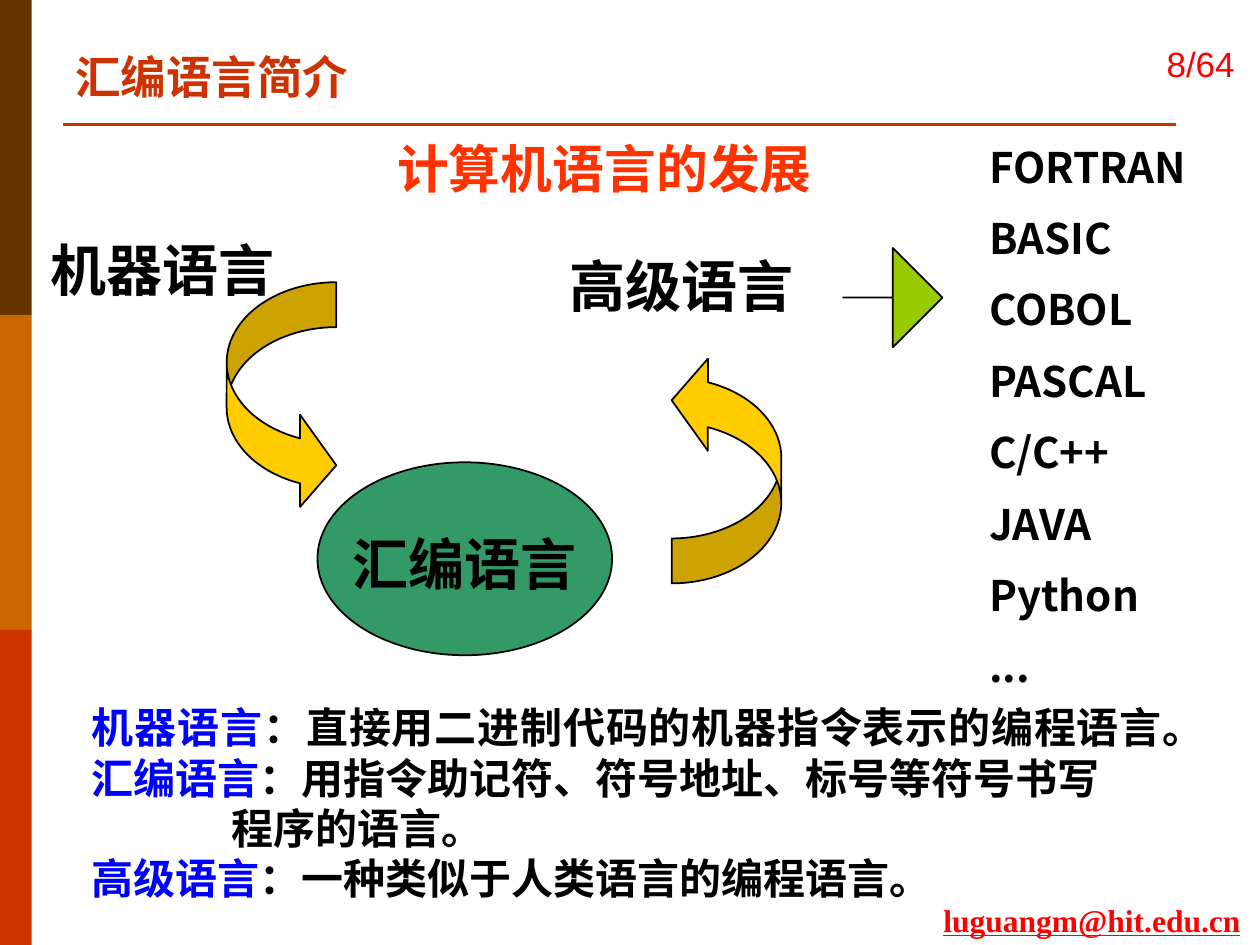
"""Build the slide on how computer languages developed."""
import pptx
import pptx.dml.color
import pptx.enum.shapes
import pptx.enum.text
import pptx.oxml
import pptx.oxml.ns
import pptx.util

Cm = pptx.util.Cm
Pt = pptx.util.Pt
SHAPE = pptx.enum.shapes.MSO_SHAPE
ALIGN = pptx.enum.text.PP_ALIGN
ANCHOR = pptx.enum.text.MSO_ANCHOR

COLORS = {
    "brown": "663300", "orange": "CC6600", "rust": "CC3300", "red": "FF0000",
    "title": "FF3300", "black": "000000", "blue": "0000FF", "green": "339966",
    "yellow": "FFCC00", "lime": "99CC00",
}
SANS, SERIF, ARIAL = "Noto Sans CJK SC", "Times New Roman", "Arial"

SIDE_BANDS = ["brown", "orange", "rust"]
STAGES = [
    ("机器语言", 0.76, 4.62),
    ("汇编语言", 6.86, 10.54),
    ("高级语言", 11.23, 4.95),
]
CURVED_ARROWS = [(4.57, 5.69, 0), (13.54, 7.14, 180)]
LANGUAGES = ["FORTRAN", "BASIC", "COBOL", "PASCAL", "C/C++", "JAVA", "Python", "..."]
DEFINITIONS = [
    ("机器语言", "：直接用二进制代码的机器指令表示的编程语言。"),
    ("汇编语言", "：用指令助记符、符号地址、标号等符号书写"),
    ("", "程序的语言。"),
    ("高级语言", "：一种类似于人类语言的编程语言。"),
]
STRIPED_ARROW = [
    [(18.42, 5.18), (18.42, 5.54), (17.09, 5.54), (17.09, 6.2),
     (18.42, 6.2), (18.42, 6.53), (18.95, 5.87)],
    [(16.89, 5.54), (16.89, 6.2), (17.03, 6.2), (17.03, 5.54)],
    [(16.76, 5.54), (16.76, 6.2), (16.82, 6.2), (16.82, 5.54)],
]

deck = pptx.Presentation()
deck.slide_width, deck.slide_height = Cm(25.4), Cm(19.05)
slide = deck.slides.add_slide(deck.slide_layouts[6])


def rgb(name):
    return pptx.dml.color.RGBColor.from_string(COLORS[name])


def paint(shape, fill, outlined=True):
    shape.shadow.inherit = False
    shape.fill.solid()
    shape.fill.fore_color.rgb = rgb(fill)
    if outlined:
        shape.line.color.rgb = rgb("black")
        shape.line.width = Pt(1)
    else:
        shape.line.fill.background()


def add_preset(kind, box, fill, outlined=True):
    shape = slide.shapes.add_shape(kind, *map(Cm, box))
    paint(shape, fill, outlined)
    return shape


def add_frame(box, wrap=True, anchor=ANCHOR.TOP):
    frame = slide.shapes.add_textbox(*map(Cm, box)).text_frame
    frame.word_wrap = wrap
    frame.vertical_anchor = anchor
    return frame


def add_run(paragraph, text, size, font=SANS, color="black", bold=True):
    run = paragraph.add_run()
    run.text = text
    run.font.size, run.font.bold, run.font.name = Pt(size), bold, font
    run.font.color.rgb = rgb(color)
    east_asian = pptx.oxml.parse_xml(
        f'<a:ea {pptx.oxml.ns.nsdecls("a")} typeface="{SANS}"/>')
    run.font._element.find(pptx.oxml.ns.qn("a:latin")).addnext(east_asian)
    return run


def next_paragraph(frame, index):
    return frame.add_paragraph() if index else frame.paragraphs[0]


for row, color in enumerate(SIDE_BANDS):
    add_preset(SHAPE.RECTANGLE, (0, 6.35 * row, 0.64, 6.35), color, outlined=False)

rule = slide.shapes.add_connector(
    pptx.enum.shapes.MSO_CONNECTOR.STRAIGHT, Cm(1.27), Cm(2.51), Cm(23.7), Cm(2.51))
rule.line.color.rgb = rgb("rust")
rule.line.width = Pt(1.5)
rule._element.spPr.append(
    pptx.oxml.parse_xml(f'<a:effectLst {pptx.oxml.ns.nsdecls("a")}/>'))

email = add_frame((18.77, 18.03, 6.63, 1.02), wrap=False).paragraphs[0]
add_run(email, "luguangm@hit.edu.cn", 18, SERIF, "red").font.underline = True

page_number = add_frame((23.01, 0.03, 2.39, 2.49), anchor=ANCHOR.MIDDLE).paragraphs[0]
page_number.alignment = ALIGN.CENTER
add_run(page_number, "8/64", 20, ARIAL, "red", bold=False)

section = add_frame((1.27, 0.86, 6.05, 1.37)).paragraphs[0]
add_run(section, "汇编语言简介", 26, SERIF, "rust")

title = add_frame((1.27, 2.34, 21.84, 2.08), anchor=ANCHOR.MIDDLE).paragraphs[0]
title.alignment = ALIGN.CENTER
add_run(title, "计算机语言的发展", 29.6, SERIF, "title")

add_preset(SHAPE.OVAL, (6.4, 9.32, 5.94, 3.89), "green")
for left, top, rotation in CURVED_ARROWS:
    arrow = add_preset(SHAPE.CURVED_RIGHT_ARROW, (left, top, 2.21, 4.62), "yellow")
    arrow.rotation = rotation
    for index, value in enumerate((0.41, 0.84, 0.33)):
        arrow.adjustments[index] = value
for stage, left, top in STAGES:
    add_run(add_frame((left, top, 5.31, 1.63)).paragraphs[0], stage, 32)

outline = slide.shapes.build_freeform(*STRIPED_ARROW[0][0], scale=Cm(1))
for index, (start, *corners) in enumerate(STRIPED_ARROW):
    if index:
        outline.move_to(*start)
    outline.add_line_segments(corners, close=True)
paint(outline.convert_to_shape(), "lime")

language_list = add_frame((19.69, 2.72, 5.08, 11.46))
for index, language in enumerate(LANGUAGES):
    line = next_paragraph(language_list, index)
    if index:
        line.space_before = Pt(12)
    add_run(line, language, 24)

definitions = add_frame((1.6, 14.02, 22.1, 4.37))
for index, (term, meaning) in enumerate(DEFINITIONS):
    line = next_paragraph(definitions, index)
    line.alignment = ALIGN.JUSTIFY
    properties = line._p.get_or_add_pPr()
    properties.set("marL", str(Cm(1.27 if term else 2.82)))
    properties.set("indent", str(Cm(-1.27 if term else 0)))
    if term:
        add_run(line, term, 24, SERIF, "blue")
    add_run(line, meaning, 24, SERIF)

deck.save("out.pptx")
